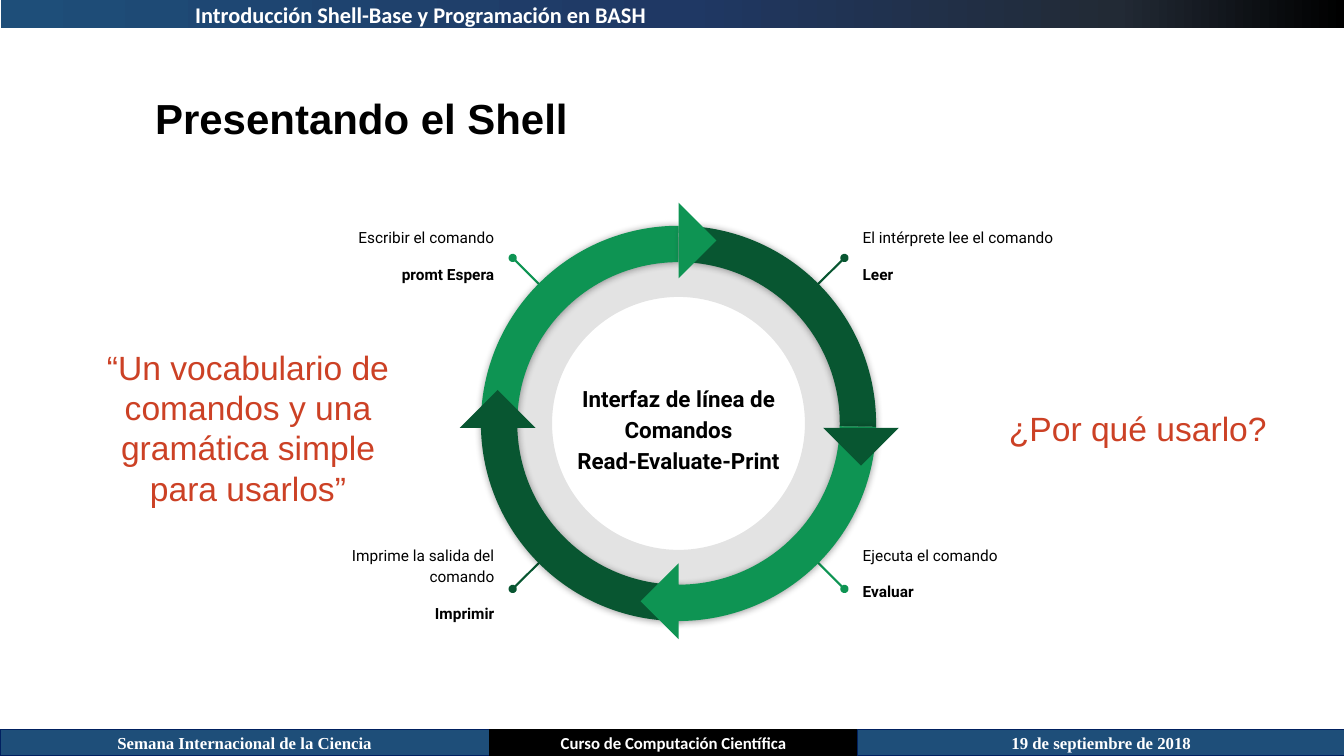
from dataclasses import dataclass

from lxml.etree import SubElement
from pptx import Presentation
from pptx.dml.color import RGBColor
from pptx.enum.shapes import MSO_CONNECTOR as Connector, MSO_SHAPE as Preset
from pptx.enum.text import MSO_ANCHOR as Anchor, PP_ALIGN as Align
from pptx.oxml.ns import qn
from pptx.util import Cm, Pt

COLORS = {
    "bar": "1E4E79", "bar_line": "002060", "navy": "1F3864", "slate": "222A35",
    "black": "000000", "white": "FFFFFF", "quote": "CC4125",
    "green": "0E9453", "dark_green": "085631",
}
HEADER_STOPS = ((0, "bar"), (51, "navy"), (83, "slate"), (100, "black"))


@dataclass
class Box:
    """A region in centimetres."""
    left: float
    top: float
    width: float
    height: float

    def lengths(self):
        return [Cm(v) for v in (self.left, self.top, self.width, self.height)]


def centered(x, y, width, height):
    return Box(x - width / 2, y - height / 2, width, height)


def rgb(color):
    return RGBColor.from_string(COLORS[color])


def apply(target, values):
    for name, value in values.items():
        setattr(target, name, value)


def add_preset(slide, preset, box, color=None, line=None):
    shape = slide.shapes.add_shape(preset, *box.lengths())
    shape.shadow.inherit = False
    if color:
        shape.fill.solid()
        shape.fill.fore_color.rgb = rgb(color)
    if line:
        shape.line.color.rgb = rgb(line)
        shape.line.width = Pt(1)
    else:
        shape.line.fill.background()
    return shape


def write(shape, paragraphs, font, color="black", inset=(0.25, 0.25),
          anchor=Anchor.TOP, layout=None):
    """Fill a shape with paragraphs given as (text, bold, space before)."""
    frame = shape.text_frame
    side, edge = Cm(inset[0]), Cm(inset[1])
    apply(frame, {"word_wrap": True, "vertical_anchor": anchor,
                  "margin_left": side, "margin_right": side,
                  "margin_top": edge, "margin_bottom": edge})
    for index, (text, bold, gap) in enumerate(paragraphs):
        paragraph = frame.add_paragraph() if index else frame.paragraphs[0]
        apply(paragraph, layout or {})
        if gap:
            paragraph.space_before = Pt(gap)
        run = paragraph.add_run()
        run.text = text
        apply(run.font, {**font, "bold": bold})
        run.font.color.rgb = rgb(color)


def add_text(slide, box, paragraphs, font, **options):
    write(slide.shapes.add_textbox(*box.lengths()), paragraphs, font, **options)


def add_header(slide, box):
    bar = add_preset(slide, Preset.RECTANGLE, box)
    bar.fill.gradient()
    bar.fill.gradient_angle = 0
    stops = bar._element.spPr.find(qn("a:gradFill")).find(qn("a:gsLst"))
    stops.clear()
    for position, color in HEADER_STOPS:
        stop = SubElement(stops, qn("a:gs"), pos=str(position * 1000))
        SubElement(stop, qn("a:srgbClr"), val=COLORS[color])
    add_text(slide, Box(box.left + 4.65, box.top - 0.1, 21.18, 0.94),
             [("Introducción Shell-Base y Programación en BASH", True, 0)],
             {"name": "Calibri", "size": Pt(16)}, color="white", inset=(0.25, 0.13))


def add_footer(slide, box):
    left = box.left
    for text, width, face, color, line in (
        ("Semana Internacional de la Ciencia", 12.34, "Times New Roman", "bar", "bar_line"),
        ("Curso de Computación Científica", 9.27, "Calibri", "black", "black"),
        ("19 de septiembre de 2018", 12.29, "Times New Roman", "bar", "bar_line"),
    ):
        cell = add_preset(slide, Preset.RECTANGLE, Box(left, box.top, width, box.height),
                          color, line)
        write(cell, [(text, True, 0)], {"name": face, "size": Pt(12)}, color="white",
              inset=(0.25, 0.13), anchor=Anchor.MIDDLE, layout={"alignment": Align.CENTER})
        left += width


def add_title(slide, box):
    add_text(slide, box, [("Presentando el Shell", True, 0)],
             {"name": "Arial", "size": Pt(30)})


def add_remark(slide, box, text):
    add_text(slide, box, [(text, False, 0)], {"name": "Arial", "size": Pt(24)},
             color="quote", anchor=Anchor.MIDDLE, layout={"alignment": Align.CENTER})


def add_stage_label(slide, x, y, side, level, action, stage, color):
    """Place a stage's text and its pin; side and level are -1 or 1 from the centre."""
    pin = slide.shapes.add_connector(
        Connector.STRAIGHT, Cm(x + side * 4.18), Cm(y + level * 4.17),
        Cm(x + side * 2.9), Cm(y + level * 2.9))
    pin.line.color.rgb = rgb(color)
    pin.line.width = Pt(1.5)
    SubElement(pin.line._get_or_add_ln(), qn("a:headEnd"), type="oval")
    SubElement(pin._element.spPr, qn("a:effectLst"))
    add_text(slide, centered(x + side * 7.08, y + level * 4 - 0.07, 5.54, 2.49),
             [(action, False, 0), (stage, True, 11)],
             {"name": "Roboto", "size": Pt(11)}, inset=(0.33, 0.33),
             layout={"alignment": Align.RIGHT if side < 0 else Align.LEFT,
                     "line_spacing": 1.15})


def add_arc(slide, box, start, color):
    """Draw a quarter of the ring, clockwise from the start angle."""
    arc = add_preset(slide, Preset.BLOCK_ARC, box, color)
    for index, value in enumerate((start * 0.6, (start + 90) % 360 * 0.6, 0.092)):
        arc.adjustments[index] = value
    shadow = SubElement(arc._element.spPr.find(qn("a:effectLst")), qn("a:outerShdw"),
                        blurRad=str(Pt(5.6)), dist=str(Pt(0.8)), dir="5400000")
    tint = SubElement(shadow, qn("a:srgbClr"), val=COLORS["black"])
    SubElement(tint, qn("a:alpha"), val="40000")


def add_cycle(slide, box):
    x, y = box.left + box.width / 2, box.top + box.height / 2
    track = add_preset(slide, Preset.DONUT, centered(x, y, 9.4, 9.4), "black")
    track.adjustments[0] = 0.161
    track_color = track._element.spPr.find(qn("a:solidFill"))[0]
    SubElement(track_color, qn("a:alpha"), val="11000")

    for side, level, action, stage, color in (
        (-1, -1, "Escribir el comando", "promt Espera", "green"),
        (-1, 1, "Imprime la salida del comando", "Imprimir", "dark_green"),
        (1, 1, "Ejecuta el comando", "Evaluar", "green"),
        (1, -1, "El intérprete lee el comando", "Leer", "dark_green"),
    ):
        add_stage_label(slide, x, y, side, level, action, stage, color)

    add_text(slide, centered(x, y + 0.11, 6.27, 2.97),
             [("Interfaz de línea de Comandos", True, 0), ("Read-Evaluate-Print", True, 0)],
             {"name": "Roboto", "size": Pt(16)}, inset=(0.33, 0.33), anchor=Anchor.MIDDLE,
             layout={"alignment": Align.CENTER, "line_spacing": 1.15})

    for start, color in ((180, "green"), (271, "dark_green"), (90, "dark_green"), (1, "green")):
        add_arc(slide, box, start, color)
    for dx, dy, rotation, color in (
        (-4.56, 0.11, 135, "dark_green"), (4.6, 0.11, 315, "dark_green"),
        (0, 4.48, 45, "green"), (0, -4.61, 225, "green"),
    ):
        tip = add_preset(slide, Preset.RIGHT_TRIANGLE,
                         centered(x + dx, y + dy, 1.35, 1.35), color)
        tip.rotation = rotation


def main():
    deck = Presentation()
    deck.slide_width, deck.slide_height = Cm(33.87), Cm(19.05)
    slide = deck.slides.add_slide(deck.slide_layouts[6])
    add_header(slide, Box(0.02, 0, 33.87, 0.7))
    add_footer(slide, Box(0, 18.39, 33.9, 0.66))
    add_title(slide, Box(3.66, 2.08, 14.07, 2.01))
    add_remark(slide, Box(2.21, 8.43, 8.08, 4.67),
               "“Un vocabulario de comandos y una gramática simple para usarlos”")
    add_cycle(slide, Box(12.12, 5.69, 9.96, 9.96))
    add_remark(slide, Box(24.51, 8.74, 8.33, 4.09), "¿Por qué usarlo?")
    deck.save("out.pptx")


if __name__ == "__main__":
    main()
